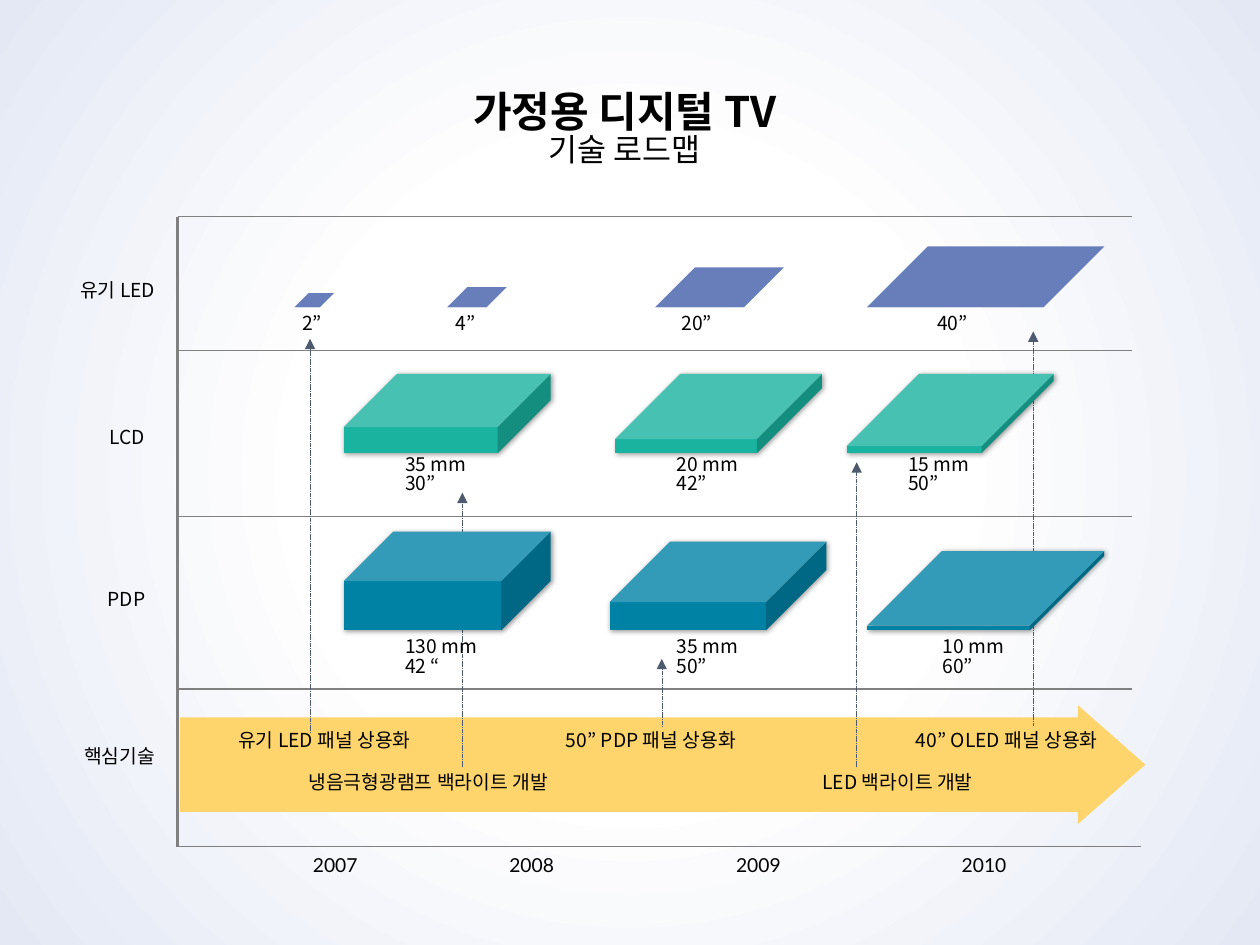
from lxml import etree
from pptx import Presentation
from pptx.dml.color import RGBColor
from pptx.enum import dml, shapes, text
from pptx.oxml import ns
from pptx.util import Cm, Pt

KOREAN, LATIN = "Noto Sans CJK KR", "Lato"
BLACK, GREY, SLATE = "000000", "808080", "4E5B6F"
OLED, LCD, PDP, GOLD = "435EAA", "1AB39F", "0082A5", "FED46C"
LEFT, CENTER, RIGHT = text.PP_ALIGN.LEFT, text.PP_ALIGN.CENTER, text.PP_ALIGN.RIGHT

AXIS_X, TOP, BASE, ROW_END, BASE_END = 3.58, 4.37, 17.07, 22.83, 23.01
ROW_LINES = [TOP, 7.07, 10.41, 13.89]
ROW_LABELS = [("유기 LED", 3.38, 5.56), ("LCD", 3.18, 8.53),
              ("PDP", 3.18, 11.79), ("핵심기술", 3.38, 14.96)]  # right edge, top
YEARS = [("2007", 5.87), ("2008", 9.83), ("2009", 14.4), ("2010", 18.95)]

# left, width, height, label, label left
OLED_BOTTOM = 6.19
OLED_PANELS = [(5.94, 0.79, 0.28, "2”", 5.84), (9.02, 1.19, 0.4, "4”", 8.94),
               (13.21, 2.59, 0.8, "20”", 13.49), (17.48, 4.78, 1.22, "40”", 18.64)]
# left, width, height, depth, label lines, label left
LCD_BOTTOM = 9.14
LCD_PANELS = [(6.93, 4.17, 1.6, 0.67, ("35 mm", "30”"), 7.92),
              (12.4, 4.17, 1.6, 0.82, ("20 mm", "42”"), 13.39),
              (17.07, 4.17, 1.6, 0.91, ("15 mm", "50”"), 18.06)]
PDP_BOTTOM = 12.71
PDP_PANELS = [(6.93, 4.17, 1.99, 0.5, ("130 mm", "42 “"), 7.92),
              (12.29, 4.37, 1.79, 0.68, ("35 mm", "50”"), 13.39),
              (17.48, 4.78, 1.6, 0.94, ("10 mm", "60”"), 18.75)]
# text, right edge, top
UPPER, LOWER = 14.63, 15.49
MILESTONES = [("50” PDP 패널 상용화", 15.09, UPPER), ("40” OLED 패널 상용화", 22.38, UPPER),
              ("유기 LED 패널 상용화", 8.53, UPPER), ("LED 백라이트 개발", 19.86, LOWER),
              ("냉음극형광램프 백라이트 개발", 11.3, LOWER)]
# x, start, end
LINKS = [(6.25, 14.78, 6.83), (9.32, 15.47, 9.93), (13.34, 14.66, 13.28),
         (20.83, 14.63, 6.68), (17.27, 15.47, 9.32)]


def color(value):
    return RGBColor.from_string(value)


def add_xml(parent, tag, **attributes):
    return etree.SubElement(parent, ns.qn(tag), attributes)


def set_background(page):
    fill = page.background.fill
    fill.gradient()
    for stop, position, value in zip(fill.gradient_stops, (0.41, 1), ("FFFFFF", "E3E8F4")):
        stop.position = position
        stop.color.rgb = color(value)
    linear = next(page.element.iter(ns.qn("a:lin")))
    gradient = linear.getparent()
    gradient.remove(linear)
    circle = add_xml(gradient, "a:path", path="circle")
    add_xml(circle, "a:fillToRect", l="50000", t="50000", r="50000", b="50000")


def add_span(para, words, size, font, bold):
    span = para.add_run()
    span.text = words
    span.font.size = Pt(size)
    span.font.bold = bold
    span.font.color.rgb = color(BLACK)
    span.font.name = font
    add_xml(span.font._element, "a:ea", typeface=font)


def add_frame(page, left, top, width, height):
    box = page.shapes.add_textbox(Cm(left), Cm(top), Cm(width), Cm(height))
    box.text_frame.word_wrap = True
    box.text_frame.auto_size = text.MSO_AUTO_SIZE.SHAPE_TO_FIT_TEXT
    return box.text_frame


def style_para(para, align, font=KOREAN):
    para.alignment = align
    if font == KOREAN:
        para.line_spacing = 0.83


def add_label(page, lines, left, top, width, align=LEFT, font=KOREAN):
    frame = add_frame(page, left, top, width, 0.28 + 0.46 * len(lines))
    for index, words in enumerate(lines):
        para = frame.add_paragraph() if index else frame.paragraphs[0]
        style_para(para, align, font)
        add_span(para, words, 11, font, False)


def add_right_label(page, words, right, top, width):
    add_label(page, [words], right - width, top, width, RIGHT)


def add_title(page):
    para = add_frame(page, 4.95, 1.78, 15.29, 2.06).paragraphs[0]
    style_para(para, CENTER)
    add_span(para, "가정용 디지털 TV", 24, KOREAN, True)
    para.add_line_break()
    add_span(para, "기술 로드맵", 18, KOREAN, False)


def add_line(owner, start, end, value, weight):
    line = owner.shapes.add_connector(
        shapes.MSO_CONNECTOR.STRAIGHT, *(Cm(n) for n in (*start, *end)))
    line.line.color.rgb = color(value)
    line.line.width = Pt(weight)
    add_xml(line._element.spPr, "a:effectLst")
    return line


def add_axes(page):
    axes = page.shapes.add_group_shape()
    add_line(axes, (AXIS_X, BASE), (BASE_END, BASE), GREY, 0.75)
    add_line(axes, (AXIS_X, BASE), (AXIS_X, TOP), GREY, 2)
    for y in ROW_LINES:
        add_line(axes, (AXIS_X, y), (ROW_END, y), GREY, 0.75)


def add_link(page, x, start, end):
    link = add_line(page, (x, start), (x, end), SLATE, 0.25)
    link.line.dash_style = dml.MSO_LINE.SQUARE_DOT
    add_xml(link.line._get_or_add_ln(), "a:tailEnd", type="triangle")


def add_solid(page, kind, left, top, width, height, value, adjustments):
    solid = page.shapes.add_shape(kind, Cm(left), Cm(top), Cm(width), Cm(height))
    solid.shadow.inherit = False
    solid.fill.solid()
    solid.fill.fore_color.rgb = color(value)
    solid.line.fill.background()
    for index, amount in enumerate(adjustments):
        solid.adjustments[index] = amount
    return solid


def add_panel(page, left, bottom, width, height, value, depth):
    return add_solid(page, shapes.MSO_SHAPE.CUBE, left, bottom - height,
                     width, height, value, [depth])


def add_shadow(solid):
    effects = solid._element.spPr.find(ns.qn("a:effectLst"))
    shadow = add_xml(effects, "a:outerShdw", blurRad=str(Pt(3)), dist=str(Pt(1)),
                     dir="2700000", algn="tl", rotWithShape="0")
    shade = add_xml(shadow, "a:srgbClr", val=BLACK)
    add_xml(shade, "a:alpha", val="40000")


def main():
    deck = Presentation()
    deck.slide_width, deck.slide_height = Cm(25.4), Cm(19.05)
    page = deck.slides.add_slide(deck.slide_layouts[6])
    set_background(page)
    add_title(page)
    add_axes(page)

    for words, right, top in ROW_LABELS:
        add_right_label(page, words, right, top, 2.6)
    for year, left in YEARS:
        add_label(page, [year], left, BASE, 1.78, CENTER, LATIN)

    for left, width, height, words, label_left in OLED_PANELS:
        add_panel(page, left, OLED_BOTTOM, width, height, OLED, 1)
        add_label(page, [words], label_left, 6.22, 2.18)

    add_solid(page, shapes.MSO_SHAPE.RIGHT_ARROW, 3.63, 14.22, 19.46, 2.39,
              GOLD, [0.795, 0.568])
    for words, right, top in MILESTONES:
        add_right_label(page, words, right, top, 5.6)
    for link in LINKS:
        add_link(page, *link)

    for panels, bottom, label_top, value in (
            (LCD_PANELS, LCD_BOTTOM, 9.07, LCD), (PDP_PANELS, PDP_BOTTOM, 12.75, PDP)):
        for left, width, height, depth, lines, label_left in panels:
            add_shadow(add_panel(page, left, bottom, width, height, value, depth))
            add_label(page, lines, label_left, label_top, 2.18)

    deck.save("out.pptx")


if __name__ == "__main__":
    main()
